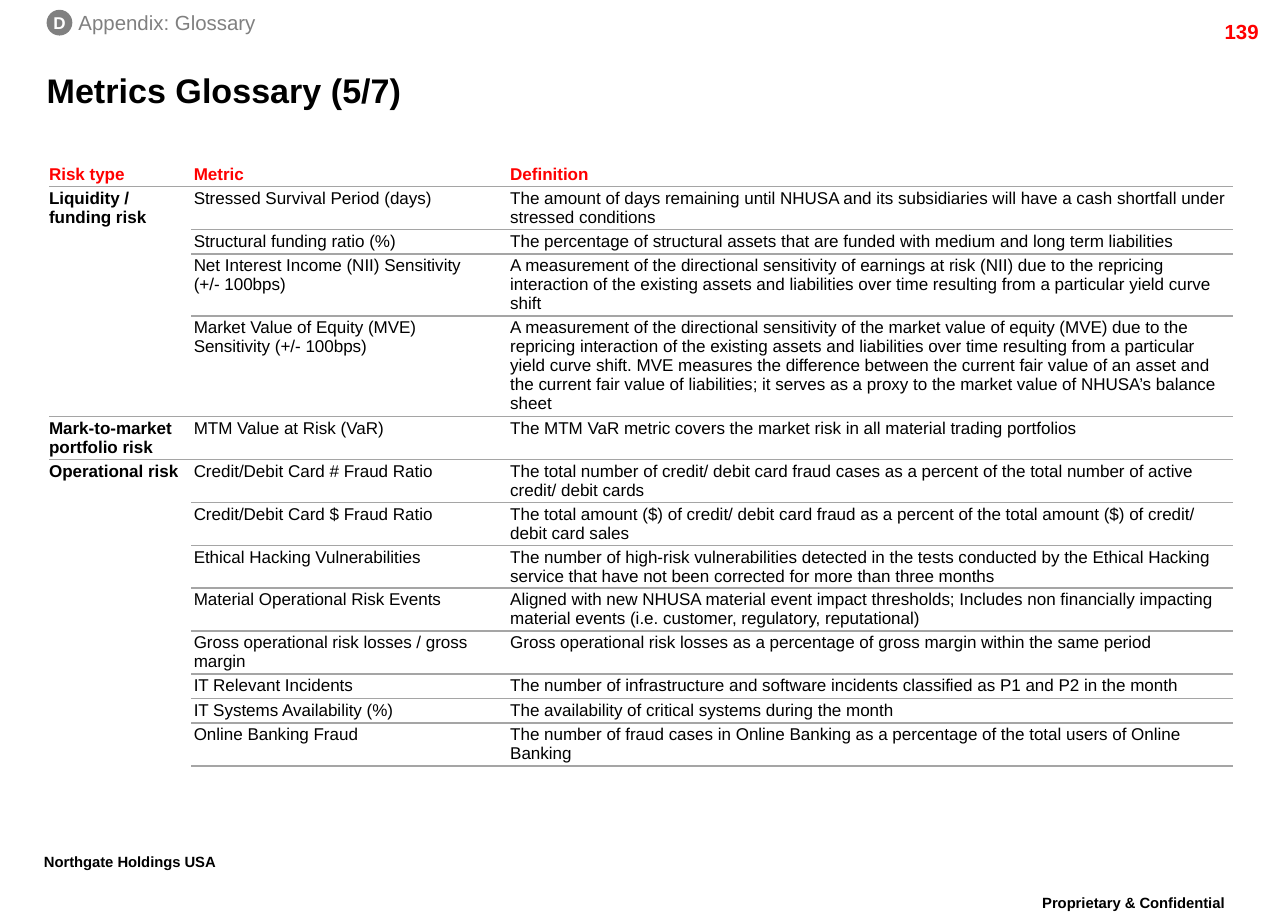
from lxml import etree
from pptx import Presentation
from pptx.dml.color import RGBColor
from pptx.enum.shapes import MSO_SHAPE
from pptx.enum.text import MSO_ANCHOR, MSO_AUTO_SIZE, PP_ALIGN
from pptx.oxml.ns import qn
from pptx.util import Emu, Pt

OVAL = MSO_SHAPE.OVAL
TOP, MIDDLE = MSO_ANCHOR.TOP, MSO_ANCHOR.MIDDLE
LEFT, CENTER, RIGHT = PP_ALIGN.LEFT, PP_ALIGN.CENTER, PP_ALIGN.RIGHT
NO_AUTOSIZE = MSO_AUTO_SIZE.NONE
EMU_PER_PX = 9144
TITLE_ONLY = 5
PLAIN_TABLE = "{2D5ABB26-0587-4C30-8999-92F81FD0307C}"
BLACK, RED, GREY, RULE, WHITE = "000000", "FF0000", "808080", "A5A5A5", "FFFFFF"
SIDES = ("margin_left", "margin_top", "margin_right", "margin_bottom")
FLUSH, INSET = (0, 0, 0, 0), (10, 5, 10, 5)

HEADINGS = ("Risk type", "Metric", "Definition")
COLUMN_WIDTHS = (116, 258, 591)
GLOSSARY = (
    ("Liquidity / funding risk", (
        ("Stressed Survival Period (days)", 2,
         "The amount of days remaining until NHUSA and its subsidiaries will have "
         "a cash shortfall under stressed conditions"),
        ("Structural funding ratio (%)", 1,
         "The percentage of structural assets that are funded with medium and long "
         "term liabilities"),
        ("Net Interest Income (NII) Sensitivity\n(+/- 100bps)", 3,
         "A measurement of the directional sensitivity of earnings at risk (NII) due "
         "to the repricing interaction of the existing assets and liabilities over "
         "time resulting from a particular yield curve shift"),
        ("Market Value of Equity (MVE)\nSensitivity (+/- 100bps)", 5,
         "A measurement of the directional sensitivity of the market value of equity "
         "(MVE) due to the repricing interaction of the existing assets and "
         "liabilities over time resulting from a particular yield curve shift. MVE "
         "measures the difference between the current fair value of an asset and the "
         "current fair value of liabilities; it serves as a proxy to the market value "
         "of NHUSA’s balance sheet"),
    )),
    ("Mark-to-market portfolio risk", (
        ("MTM Value at Risk (VaR)", 2,
         "The MTM VaR metric covers the market risk in all material trading "
         "portfolios"),
    )),
    ("Operational risk", (
        ("Credit/Debit Card # Fraud Ratio", 2,
         "The total number of credit/ debit card fraud cases as a percent of the "
         "total number of active credit/ debit cards"),
        ("Credit/Debit Card $ Fraud Ratio", 2,
         "The total amount ($) of credit/ debit card fraud as a percent of the total "
         "amount ($) of credit/ debit card sales"),
        ("Ethical Hacking Vulnerabilities", 2,
         "The number of high-risk vulnerabilities detected in the tests conducted by "
         "the Ethical Hacking service that have not been corrected for more than "
         "three months"),
        ("Material Operational Risk Events", 2,
         "Aligned with new NHUSA material event impact thresholds; Includes non "
         "financially impacting material events (i.e. customer, regulatory, "
         "reputational)"),
        ("Gross operational risk losses / gross margin", 2,
         "Gross operational risk losses as a percentage of gross margin within the "
         "same period"),
        ("IT Relevant Incidents", 1,
         "The number of infrastructure and software incidents classified as P1 and "
         "P2 in the month"),
        ("IT Systems Availability (%)", 1,
         "The availability of critical systems during the month"),
        ("Online Banking Fraud", 2,
         "The number of fraud cases in Online Banking as a percentage of the total "
         "users of Online Banking"),
    )),
)


def px(length):
    """Turn whole px into EMU."""
    return Emu(length * EMU_PER_PX)


def colour(code):
    """Turn a hex string into a colour."""
    return RGBColor.from_string(code)


def apply(target, values):
    """Set each named attribute of the target."""
    for name, value in values.items():
        setattr(target, name, value)


def row_height(lines):
    """Give the px height of a table row with this many lines."""
    return round(4 + 15.5 * lines)


class Page:
    """Hold the style and the current slide."""

    font = "Arial"

    def __init__(self, deck):
        """Add a slide with a title to the deck."""
        self.slide = deck.slides.add_slide(deck.slide_layouts[TITLE_ONLY])
        self.shapes = self.slide.shapes

    def set_words(self, frame, words, size, code, bold=False, align=LEFT,
                  spacing=1.0, baseline=None):
        """Put one formatted paragraph into a text frame."""
        para = frame.paragraphs[0]
        para.text = words
        apply(para, {"alignment": align, "line_spacing": spacing})
        for span in para.runs:
            apply(span.font, {"name": self.font, "size": Pt(size), "bold": bold})
            span.font.color.rgb = colour(code)
            if baseline:
                span.font._element.set("baseline", str(baseline * 1000))

    def fit(self, holder, insets, anchor, wrap=True):
        """Set the insets and anchor of a text frame."""
        apply(holder, dict(zip(SIDES, map(px, insets))))
        apply(holder, {"vertical_anchor": anchor, "word_wrap": wrap,
                       "auto_size": NO_AUTOSIZE})

    def title(self, words, left, top, width, height):
        """Place and fill the title placeholder."""
        box = self.shapes.title
        apply(box, {"left": px(left), "top": px(top),
                    "width": px(width), "height": px(height)})
        self.fit(box.text_frame, FLUSH, MIDDLE)
        self.set_words(box.text_frame, words, 20, BLACK, True)

    def text(self, words, place, size, code, insets=INSET, wrap=True, **style):
        """Add a text box."""
        box = self.shapes.add_textbox(*map(px, place))
        self.fit(box.text_frame, insets, TOP, wrap)
        self.set_words(box.text_frame, words, size, code, **style)

    def badge(self, letter, place):
        """Add a round section badge."""
        box = self.shapes.add_shape(OVAL, *map(px, place))
        box.shadow.inherit = False
        box.fill.solid()
        box.fill.fore_color.rgb = colour(GREY)
        box.line.fill.background()
        self.fit(box.text_frame, FLUSH, MIDDLE, False)
        self.set_words(box.text_frame, letter, 10, WHITE, True, CENTER)

    def rule(self, cell, edge):
        """Draw a grey line on one edge of a cell."""
        properties = cell._tc.get_or_add_tcPr()
        line = etree.SubElement(properties, qn("a:" + edge), w=str(Pt(1)))
        fill = etree.SubElement(line, qn("a:solidFill"))
        etree.SubElement(fill, qn("a:srgbClr"), val=RULE)

    def cell(self, cell, words, first, code=BLACK, bold=False, anchor=TOP, edges=()):
        """Fill and format one table cell."""
        insets = (0 if first else 2, 2, 2, 2)
        apply(cell, dict(zip(SIDES, map(px, insets))))
        cell.vertical_anchor = anchor
        for edge in edges:
            self.rule(cell, edge)
        cell.fill.background()
        self.set_words(cell.text_frame, words, 10, code, bold)

    def glossary(self, left, top):
        """Add the table of risk metrics."""
        heights = [row_height(1)] + [row_height(lines) for _, metrics in GLOSSARY
                                     for _, lines, _ in metrics]
        frame = self.shapes.add_table(
            len(heights), len(COLUMN_WIDTHS), px(left), px(top),
            px(sum(COLUMN_WIDTHS)), px(sum(heights)))
        table = frame.table
        apply(table, {"first_row": False, "horz_banding": False})
        table._tbl.tblPr.find(qn("a:tableStyleId")).text = PLAIN_TABLE
        for column, width in zip(table.columns, COLUMN_WIDTHS):
            column.width = px(width)
        for row, height in zip(table.rows, heights):
            row.height = px(height)
        for index, heading in enumerate(HEADINGS):
            self.cell(table.cell(0, index), heading, index == 0, RED, True,
                      MIDDLE, ("lnB",))
        start = 1
        for group, (risk, metrics) in enumerate(GLOSSARY):
            risk_cell = table.cell(start, 0)
            if len(metrics) > 1:
                risk_cell.merge(table.cell(start + len(metrics) - 1, 0))
            self.cell(risk_cell, risk, True, bold=True,
                      edges=("lnT",) if group < 2 else ())
            for row, (metric, _, definition) in enumerate(metrics, start):
                for index, words in enumerate((metric, definition), 1):
                    self.cell(table.cell(row, index), words, False,
                              edges=("lnT", "lnB"))
            start += len(metrics)


def main():
    """Build and save the glossary slide."""
    deck = Presentation()
    apply(deck, {"slide_width": px(1050), "slide_height": px(750)})
    page = Page(deck)
    footer = {"size": 15, "code": BLACK, "bold": True, "spacing": 0.86, "baseline": 30}
    page.text("Proprietary & Confidential", (815, 725, 218, 35), align=CENTER, **footer)
    page.text("Northgate Holdings USA", (26, 691, 191, 35), wrap=False, **footer)
    page.text("139", (936, 11, 100, 24), 12, RED, bold=True, align=RIGHT)
    page.title("Metrics Glossary (5/7)", 38, 49, 948, 48)
    page.glossary(40, 132)
    page.text("Appendix: Glossary", (64, 8, 146, 20), 12, GREY, FLUSH, False)
    page.badge("D", (38, 8, 21, 21))
    deck.save("out.pptx")


if __name__ == "__main__":
    main()
